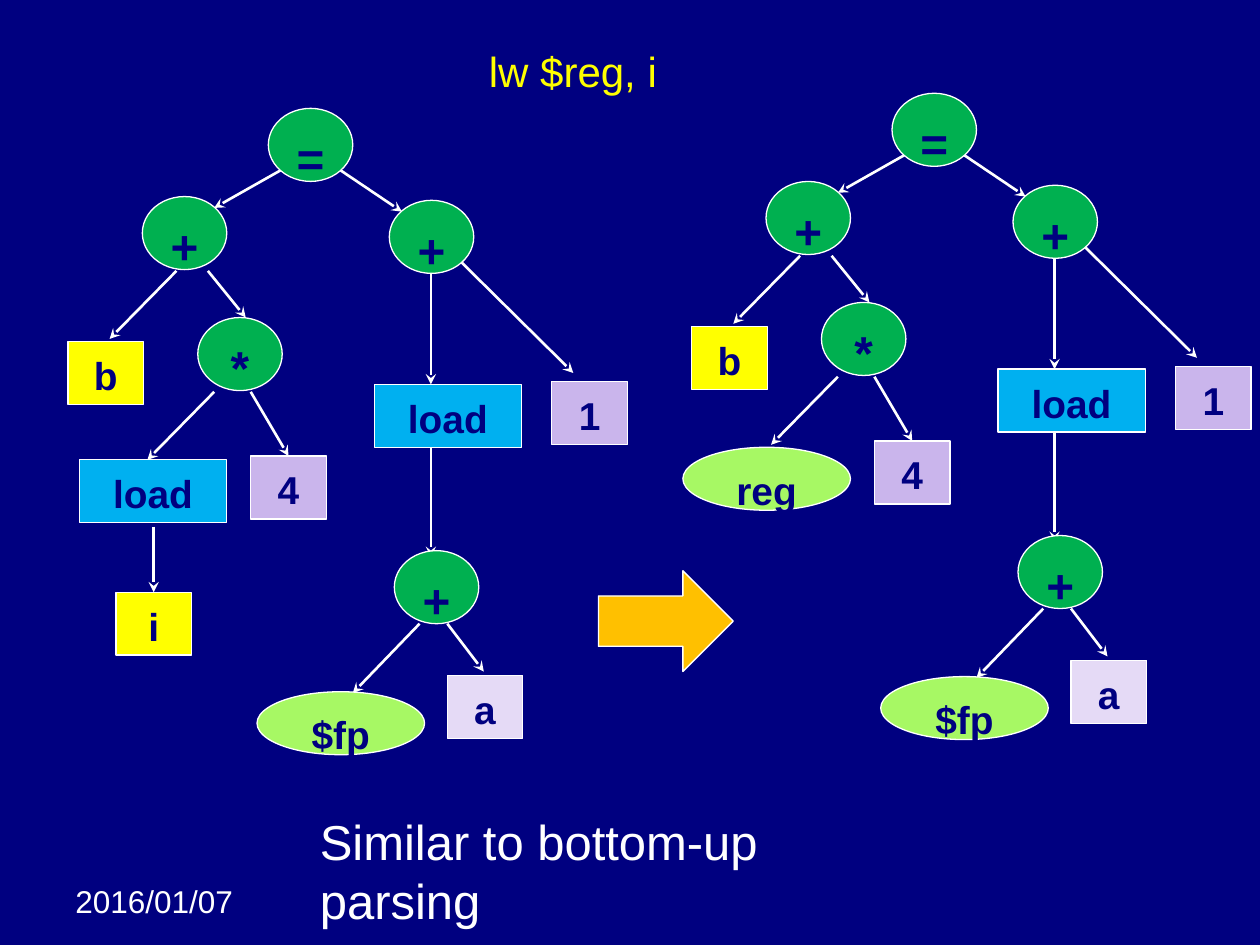
"""Builds a slide showing a tree rewrite for a load instruction."""
from dataclasses import dataclass

import pptx
import pptx.dml.color
import pptx.enum.shapes
import pptx.enum.text
import pptx.oxml
import pptx.oxml.ns
import pptx.util
from pptx.util import Inches

RGBColor = pptx.dml.color.RGBColor
SHAPE = pptx.enum.shapes.MSO_SHAPE
NAVY = RGBColor(0x00, 0x00, 0x80)
WHITE = RGBColor(0xFF, 0xFF, 0xFF)
YELLOW = RGBColor(0xFF, 0xFF, 0x00)
GREEN = RGBColor(0x00, 0xB0, 0x50)
LIME = RGBColor(0xA7, 0xF8, 0x64)
BLUE = RGBColor(0x00, 0xB0, 0xF0)
LILAC = RGBColor(0xCA, 0xB5, 0xEC)
PALE_LILAC = RGBColor(0xE5, 0xDA, 0xF6)
ORANGE = RGBColor(0xFF, 0xC0, 0x00)


@dataclass(frozen=True)
class Kind:
    preset: int
    width: float
    height: float
    fill: RGBColor
    size: float = 22.2


@dataclass(frozen=True)
class Node:
    text: str
    kind: Kind
    x: float
    y: float


@dataclass(frozen=True)
class Edge:
    x1: float
    y1: float
    x2: float
    y2: float
    target: str = ""


OPERATOR = Kind(SHAPE.OVAL, 0.67, 0.58, GREEN, 27.2)
REGISTER = Kind(SHAPE.OVAL, 1.33, 0.5, LIME)
LOAD = Kind(SHAPE.RECTANGLE, 1.17, 0.5, BLUE)
VARIABLE = Kind(SHAPE.RECTANGLE, 0.6, 0.5, YELLOW)
NUMBER = Kind(SHAPE.RECTANGLE, 0.6, 0.5, LILAC)
ADDRESS = Kind(SHAPE.RECTANGLE, 0.6, 0.5, PALE_LILAC)

SHARED_NODES = [
    Node("=", OPERATOR, 2.13, 0.86),
    Node("+", OPERATOR, 1.13, 1.56),
    Node("+", OPERATOR, 3.09, 1.59),
    Node("b", VARIABLE, 0.54, 2.71),
    Node("*", OPERATOR, 1.57, 2.52),
    Node("4", NUMBER, 1.99, 3.62),
    Node("load", LOAD, 2.97, 3.05),
    Node("1", NUMBER, 4.38, 3.03),
    Node("+", OPERATOR, 3.13, 4.37),
    Node("$fp", REGISTER, 2.04, 5.49),
    Node("a", ADDRESS, 3.55, 5.36),
]
SHARED_EDGES = [
    Edge(2.23, 1.35, 1.7, 1.65),
    Edge(2.7, 1.35, 3.19, 1.68),
    Edge(1.65, 2.15, 1.95, 2.52),
    Edge(1.4, 2.15, 0.87, 2.69),
    Edge(1.7, 3.11, 1.17, 3.65),
    Edge(1.99, 3.11, 2.29, 3.62, "4"),
    Edge(3.42, 2.17, 3.42, 3.05),
    Edge(3.65, 2.07, 4.55, 2.96),
    Edge(3.42, 3.55, 3.42, 4.42),
    Edge(3.33, 4.95, 2.8, 5.5),
    Edge(3.55, 4.95, 3.84, 5.33),
]
BEFORE_NODES = [Node("load", LOAD, 0.63, 3.65), Node("i", VARIABLE, 0.92, 4.7)]
BEFORE_EDGES = [Edge(1.22, 4.18, 1.22, 4.7, "i")]
AFTER_NODES = [Node("reg", REGISTER, 0.47, 3.67)]


def format_text(tf, text: str, size: float, color: RGBColor, bold: bool = False) -> None:
    tf.text = text
    f = tf.paragraphs[0].runs[0].font
    f.name, f.size, f.bold = "Arial", pptx.util.Pt(size), bold
    f.color.rgb = color


def add_block(s, preset: int, x: float, y: float, w: float, h: float, fill: RGBColor):
    sp = s.shapes.add_shape(preset, Inches(x), Inches(y), Inches(w), Inches(h))
    sp.shadow.inherit = False
    sp.fill.solid()
    sp.fill.fore_color.rgb = fill
    sp.line.color.rgb = WHITE
    sp.line.width = pptx.util.Pt(0.75)
    return sp


def add_node(s, node: Node, dx: float, dy: float):
    k = node.kind
    sp = add_block(s, k.preset, node.x + dx, node.y + dy, k.width, k.height, k.fill)
    tf = sp.text_frame
    tf.margin_top = Inches(0.08)
    tf.vertical_anchor = pptx.enum.text.MSO_ANCHOR.TOP
    format_text(tf, node.text, k.size, NAVY, True)
    tf.paragraphs[0].alignment = pptx.enum.text.PP_ALIGN.CENTER
    return sp


def add_edge(s, edge: Edge, dx: float, dy: float):
    c = s.shapes.add_connector(
        pptx.enum.shapes.MSO_CONNECTOR.STRAIGHT,
        Inches(edge.x1 + dx), Inches(edge.y1 + dy),
        Inches(edge.x2 + dx), Inches(edge.y2 + dy))
    c.line.color.rgb = WHITE
    c.line.width = pptx.util.Pt(1.5)
    ns = pptx.oxml.ns.nsdecls("a")
    ln = c.line._get_or_add_ln()
    ln.append(pptx.oxml.parse_xml(f'<a:tailEnd {ns} type="stealth"/>'))
    ln.addnext(pptx.oxml.parse_xml(f"<a:effectLst {ns}/>"))
    return c


def add_tree(s, nodes: list[Node], edges: list[Edge], dx: float = 0, dy: float = 0) -> None:
    connectors = [add_edge(s, edge, dx, dy) for edge in edges]
    shapes = {node.text: add_node(s, node, dx, dy) for node in nodes}
    for edge, c in zip(edges, connectors):
        if edge.target:
            c.end_connect(shapes[edge.target], 0)


def place_text(sp, x: float, y: float, w: float, h: float,
               text: str, size: float, color: RGBColor) -> None:
    sp.left, sp.top, sp.width, sp.height = map(Inches, (x, y, w, h))
    tf = sp.text_frame
    tf.word_wrap = False
    tf.auto_size = pptx.enum.text.MSO_AUTO_SIZE.SHAPE_TO_FIT_TEXT
    tf.vertical_anchor = pptx.enum.text.MSO_ANCHOR.TOP
    format_text(tf, text, size, color)
    tf.paragraphs[0].alignment = pptx.enum.text.PP_ALIGN.LEFT


def main() -> None:
    prs = pptx.Presentation()
    prs.slide_width, prs.slide_height = Inches(10), Inches(7.5)
    s = prs.slides.add_slide(prs.slide_layouts[5])
    s.background.fill.solid()
    s.background.fill.fore_color.rgb = NAVY
    place_text(s.shapes.title, 3.78, 0.31, 1.62, 0.5, "lw $reg, i", 24, YELLOW)
    add_tree(s, SHARED_NODES + BEFORE_NODES, SHARED_EDGES + BEFORE_EDGES)
    add_tree(s, SHARED_NODES + AFTER_NODES, SHARED_EDGES, 4.95, -0.12)
    add_block(s, SHAPE.RIGHT_ARROW, 4.75, 4.53, 1.07, 0.8, ORANGE)
    place_text(s.shapes.add_textbox(0, 0, 0, 0), 2.44, 6.39, 5.05, 0.57,
               "Similar to bottom-up parsing", 28, WHITE)
    place_text(s.shapes.add_textbox(0, 0, 0, 0), 0.5, 6.95, 1.58, 0.4,
               "2016/01/07", 18, WHITE)
    prs.save("out.pptx")


if __name__ == "__main__":
    main()
